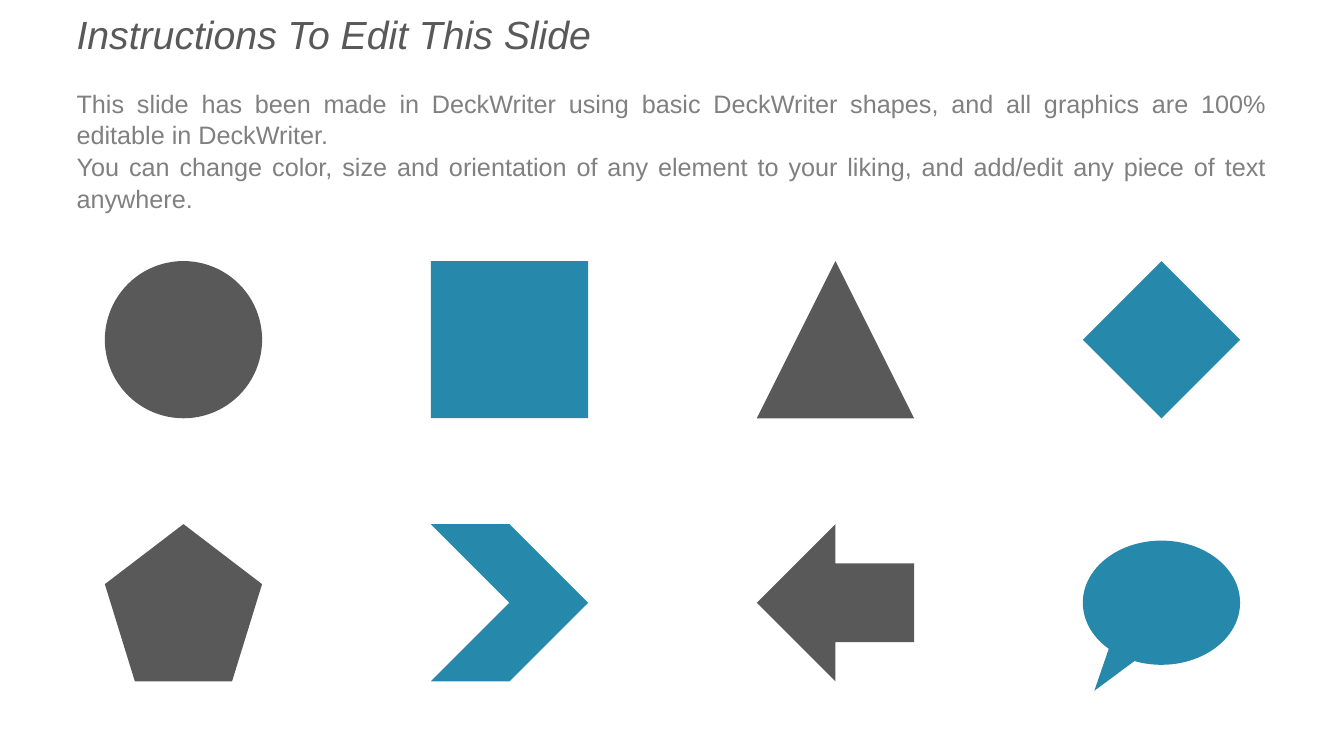
from lxml import etree
from pptx import Presentation, util as u
from pptx.dml.color import RGBColor
from pptx.enum import shapes, text

COLORS = {"title": "595959", "body": "808080", "dark": "595959", "blue": "2688AA"}
FONT = "Arial"
TITLE = "Instructions To Edit This Slide"
BODY = [
    "This slide has been made in DeckWriter using basic DeckWriter shapes, "
    "and all graphics are 100% editable in DeckWriter.",
    "You can change color, size and orientation of any element to your liking, "
    "and add/edit any piece of text anywhere.",
]
M = shapes.MSO_SHAPE
SHAPE_ROWS = [
    [M.OVAL, M.RECTANGLE, M.ISOSCELES_TRIANGLE, M.DIAMOND],
    [M.REGULAR_PENTAGON, M.CHEVRON, M.LEFT_ARROW, M.OVAL_CALLOUT],
]
CALLOUT_HEIGHT = 0.79
CALLOUT_TAIL = (-0.427, 0.709)


def place(sp, x, y, w, h):
    """Move and size a shape, in inches."""
    sp.left, sp.top, sp.width, sp.height = (u.Inches(v) for v in (x, y, w, h))


def fill_text(sp, lines, size, color, align, italic=False):
    """Write formatted paragraphs without bullets into a placeholder."""
    tf = sp.text_frame
    tf.text = "\n".join(lines)
    tf.word_wrap = True
    tf.auto_size = text.MSO_AUTO_SIZE.NONE
    tf.vertical_anchor = text.MSO_ANCHOR.TOP
    for p in tf.paragraphs:
        p.alignment = align
        p.line_spacing = 1.05
        p.space_before = u.Pt(0)
        pPr = p._p.get_or_add_pPr()
        pPr.set("marL", "0")
        pPr.set("indent", "0")
        etree.SubElement(pPr, pPr.tag.replace("pPr", "buNone"))
        for r in p.runs:
            r.font.name = FONT
            r.font.size = u.Pt(size)
            r.font.italic = italic
            r.font.color.rgb = RGBColor.from_string(COLORS[color])


def add_heading(s, x, y, w, h):
    """Set the title and the instructions below it."""
    title, body = s.placeholders
    title_h = 0.37 * h
    place(title, x, y, w, title_h)
    place(body, x, y + title_h, w, h - title_h)
    fill_text(title, [TITLE], 28, "title", text.PP_ALIGN.LEFT, italic=True)
    fill_text(body, BODY, 18, "body", text.PP_ALIGN.JUSTIFY)


def add_shape_grid(s, x, y, w, h, size):
    """Spread the sample shapes evenly over the box, alternating colours by column."""
    col_step = (w - size) / (len(SHAPE_ROWS[0]) - 1)
    row_step = (h - size) / (len(SHAPE_ROWS) - 1)
    for row, kinds in enumerate(SHAPE_ROWS):
        for col, kind in enumerate(kinds):
            callout = kind == M.OVAL_CALLOUT
            height = size * CALLOUT_HEIGHT if callout else size
            sp = s.shapes.add_shape(kind, 0, 0, 0, 0)
            place(sp, x + col * col_step, y + row * row_step + (size - height) / 2, size, height)
            if callout:
                sp.adjustments[0], sp.adjustments[1] = CALLOUT_TAIL
            sp.shadow.inherit = False
            sp.fill.solid()
            sp.fill.fore_color.rgb = RGBColor.from_string(COLORS["blue" if col % 2 else "dark"])
            sp.line.fill.background()


def main():
    """Build and save the slide."""
    prs = Presentation()
    prs.slide_width, prs.slide_height = u.Inches(13.33), u.Inches(7.5)
    s = prs.slides.add_slide(prs.slide_layouts[1])
    add_heading(s, 0.66, 0.03, 12, 2.1)
    add_shape_grid(s, 1.04, 2.59, 11.26, 4.17, 1.56)
    prs.save("out.pptx")


if __name__ == "__main__":
    main()
